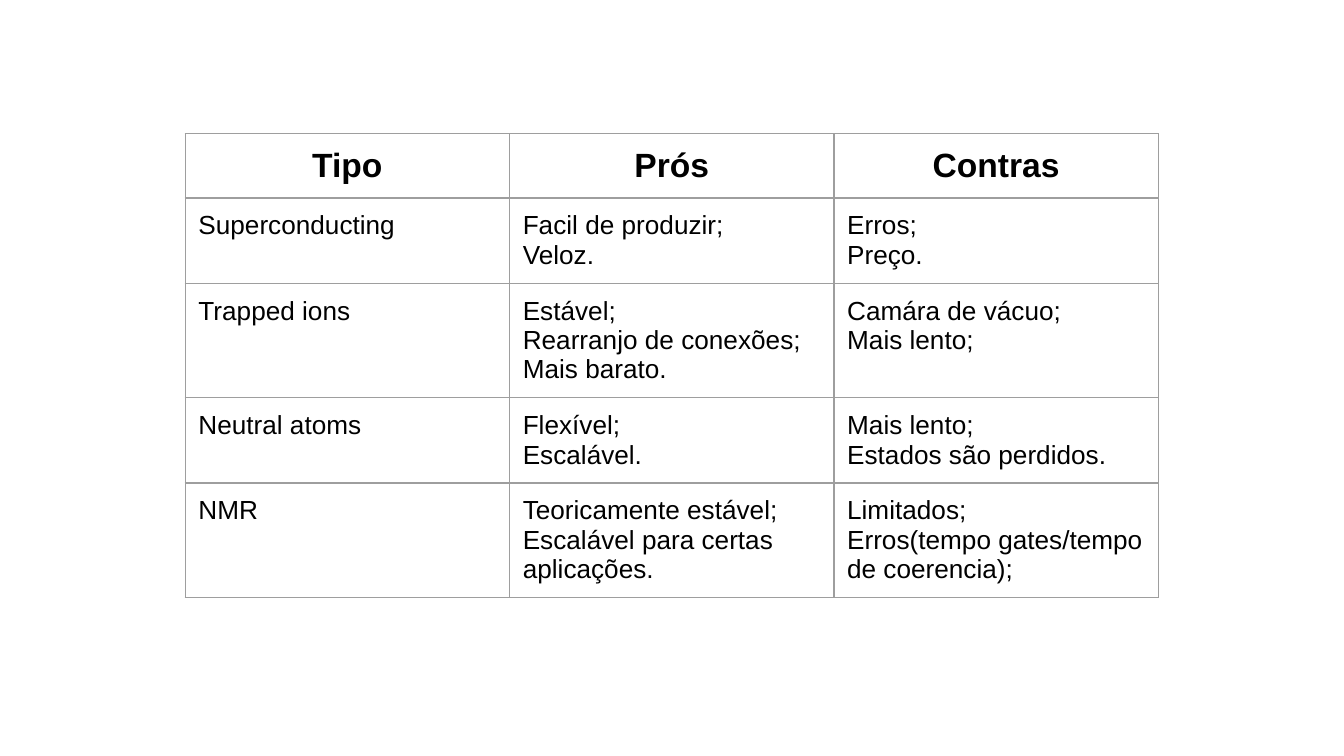
from dataclasses import dataclass

from lxml.etree import SubElement
from pptx import Presentation
from pptx.dml.color import RGBColor
from pptx.enum.text import PP_ALIGN
from pptx.oxml.ns import qn
from pptx.util import Cm, Pt


@dataclass(frozen=True)
class Theme:
    font: str = "Arial"
    text: str = "000000"
    border: str = "9E9E9E"
    border_width: int = Pt(0.75)
    header_size: int = Pt(18)
    body_size: int = Pt(14)


theme = Theme()

ROWS = [
    ["Tipo", "Prós", "Contras"],
    ["Superconducting", "Facil de produzir;\nVeloz.", "Erros;\nPreço."],
    ["Trapped ions", "Estável;\nRearranjo de conexões;\nMais barato.",
     "Camára de vácuo;\nMais lento;"],
    ["Neutral atoms", "Flexível;\nEscalável.",
     "Mais lento;\nEstados são perdidos."],
    ["NMR", "Teoricamente estável;\nEscalável para certas aplicações.",
     "Limitados;\nErros(tempo gates/tempo de coerencia);"],
]
COLUMN_WIDTH, ROW_HEIGHT, MARGIN = Cm(6.13), Cm(1.07), Cm(0.25)


def add_borders(cell):
    tc_pr = cell._tc.get_or_add_tcPr()
    for side in ("lnL", "lnR", "lnT", "lnB"):
        line = SubElement(tc_pr, qn(f"a:{side}"), w=str(theme.border_width))
        fill = SubElement(line, qn("a:solidFill"))
        SubElement(fill, qn("a:srgbClr"), val=theme.border)


prs = Presentation()
prs.slide_width, prs.slide_height = Cm(25.4), Cm(14.29)
s = prs.slides.add_slide(prs.slide_layouts[6])

table = s.shapes.add_table(
    len(ROWS), len(ROWS[0]), Cm(3.5), Cm(2.53),
    COLUMN_WIDTH * len(ROWS[0]), ROW_HEIGHT * len(ROWS)).table
table.horz_banding = False
for column in table.columns:
    column.width = COLUMN_WIDTH

for row_index, row in enumerate(ROWS):
    is_header = row_index == 0
    for column_index, text in enumerate(row):
        cell = table.cell(row_index, column_index)
        cell.margin_left = cell.margin_right = MARGIN
        cell.margin_top = cell.margin_bottom = MARGIN
        add_borders(cell)
        cell.fill.background()
        tf = cell.text_frame
        for line_index, line in enumerate(text.split("\n")):
            p = tf.add_paragraph() if line_index else tf.paragraphs[0]
            p.alignment = PP_ALIGN.CENTER if is_header else PP_ALIGN.LEFT
            r = p.add_run()
            r.text = line
            r.font.name = theme.font
            r.font.size = theme.header_size if is_header else theme.body_size
            r.font.bold = is_header
            r.font.color.rgb = RGBColor.from_string(theme.text)

prs.save("out.pptx")
